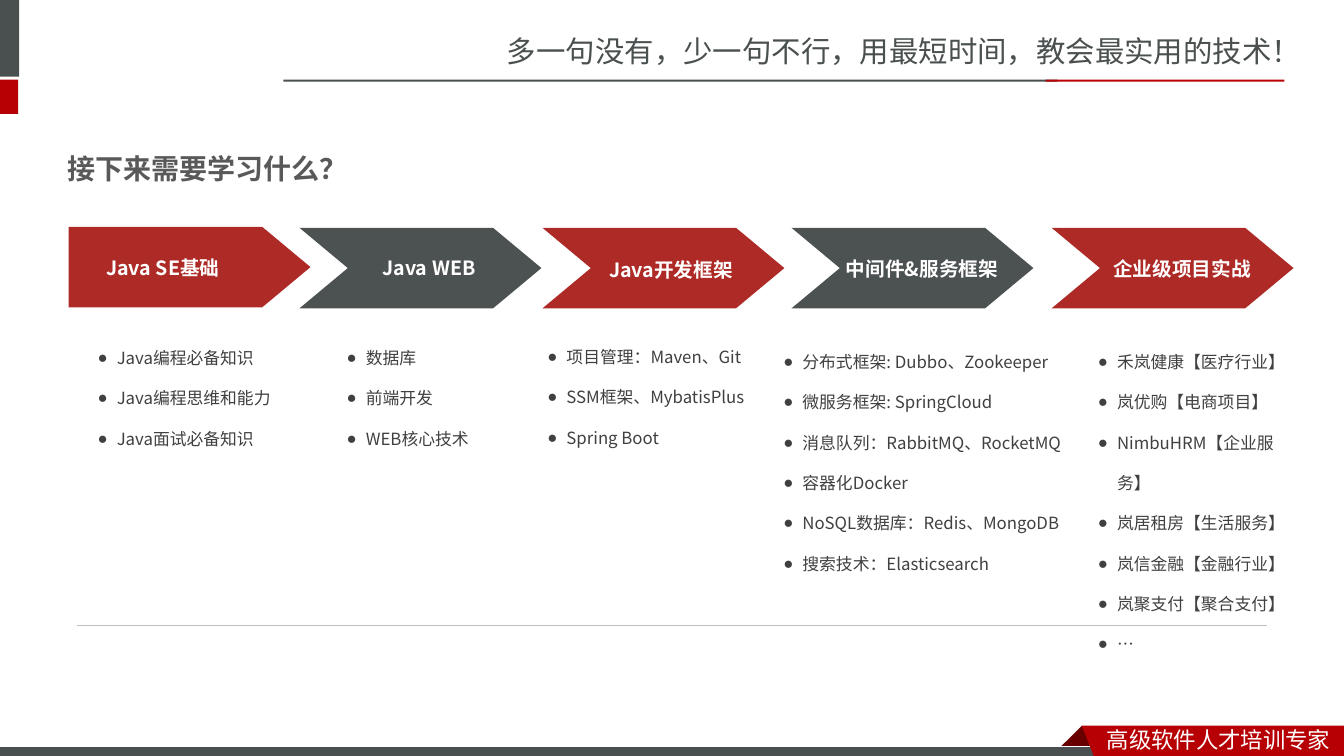
from lxml.etree import SubElement
from pptx import Presentation
from pptx.dml.color import RGBColor
from pptx.enum.shapes import MSO_CONNECTOR, MSO_SHAPE
from pptx.enum.text import MSO_ANCHOR, PP_ALIGN
from pptx.oxml.ns import qn
from pptx.util import Inches, Pt

GREY = RGBColor(0x49, 0x50, 0x4F)
RED = RGBColor(0xB6, 0x00, 0x04)
DARK_RED = RGBColor(0x68, 0x00, 0x00)
ARROW_RED = RGBColor(0xAD, 0x2A, 0x26)
ARROW_GREY = RGBColor(0x4C, 0x52, 0x52)
TITLE_GREY = RGBColor(0x59, 0x59, 0x59)
BODY_GREY = RGBColor(0x40, 0x40, 0x40)
RULE_GREY = RGBColor(0xBF, 0xBF, 0xBF)
WHITE = RGBColor(0xFF, 0xFF, 0xFF)
SC, JP = "Noto Sans CJK SC", "Noto Sans CJK JP"

# Content: arrow label, its box, arrow left and top, topics, their box
STAGES = [
    dict(label="Java SE基础", label_box=(0.57, 2.45, 2.09, 0.37), arrow=(0.68, 2.25),
         topics=["Java编程必备知识", "Java编程思维和能力", "Java面试必备知识"],
         topic_box=(0.87, 3.2, 2, 1.26)),
    dict(label="Java WEB", label_box=(3.24, 2.49, 2.03, 0.34), arrow=(2.97, 2.26),
         topics=["数据库", "前端开发", "WEB核心技术"],
         topic_box=(3.34, 3.2, 1.83, 1.26)),
    dict(label="Java开发框架", label_box=(5.65, 2.47, 2.01, 0.37), arrow=(5.38, 2.26),
         topics=["项目管理：Maven、Git", "SSM框架、MybatisPlus", "Spring Boot"],
         topic_box=(5.33, 3.19, 2.18, 1.26)),
    dict(label="中间件&服务框架", label_box=(8.13, 2.46, 2.03, 0.37), arrow=(7.85, 2.26),
         topics=["分布式框架: Dubbo、Zookeeper", "微服务框架: SpringCloud",
                 "消息队列：RabbitMQ、RocketMQ", "容器化Docker",
                 "NoSQL数据库：Redis、MongoDB", "搜索技术：Elasticsearch"],
         topic_box=(7.67, 3.24, 3.12, 2.47)),
    dict(label="企业级项目实战", label_box=(10.57, 2.46, 2.31, 0.37), arrow=(10.43, 2.26),
         topics=["禾岚健康【医疗行业】", "岚优购【电商项目】", "NimbuHRM【企业服务】",
                 "岚居租房【生活服务】", "岚信金融【金融行业】", "岚聚支付【聚合支付】", "…"],
         topic_box=(10.79, 3.24, 2.18, 3.28)),
]
BARS = [
    (-0.06, 0, 0.25, 0.76, GREY),
    (-0.06, 0.79, 0.24, 0.34, RED),
    (2.81, 0.79, 7.68, 0.02, GREY),
    (10.37, 0.79, 2.37, 0.02, RED),
]
FOOTER_BAR = (-0.01, 7.41, 11, 0.12, GREY)
RIBBON_FOLD = [(10.73, 7.2), (10.95, 7.42), (10.94, 7.43), (10.52, 7.43), (10.51, 7.42)]
RIBBON = [(10.73, 7.2), (13.33, 7.2), (13.33, 7.54), (10.86, 7.53)]
ARROW_WIDTH, ARROW_HEIGHT, ARROW_TIP = 2.4, 0.8, 0.48

# Text formats
TAGLINE = dict(size=Pt(21), name=SC, color=GREY)
FOOTER = dict(size=Pt(16), name=SC, color=WHITE)
TITLE = dict(size=Pt(20), name=JP, color=TITLE_GREY, bold=True)
LABEL = dict(size=Pt(14), name=JP, color=WHITE, bold=True)
TOPIC = dict(size=Pt(12), name=JP, color=BODY_GREY)

deck = Presentation()
deck.slide_width, deck.slide_height = Inches(13.33), Inches(7.5)
page = deck.slides.add_slide(deck.slide_layouts[6])


def paint(shape, color):
    shape.shadow.inherit = False
    shape.fill.solid()
    shape.fill.fore_color.rgb = color
    shape.line.fill.background()
    return shape


def add_bar(left, top, width, height, color):
    place = map(Inches, (left, top, width, height))
    return paint(page.shapes.add_shape(MSO_SHAPE.RECTANGLE, *place), color)


def add_outline(points, color):
    corners = [(Inches(x), Inches(y)) for x, y in points]
    builder = page.shapes.build_freeform(*corners[0])
    builder.add_line_segments(corners[1:], close=True)
    return paint(builder.convert_to_shape(), color)


def add_bullet(para):
    props = para._p.get_or_add_pPr()
    props.set("marL", str(Inches(0.19)))
    props.set("indent", str(-Inches(0.19)))
    SubElement(props, qn("a:buFont")).set("typeface", "Arial")
    SubElement(props, qn("a:buChar")).set("char", "●")


def add_text(lines, place, style, anchor=MSO_ANCHOR.TOP, wrap=True, bullets=False, **layout):
    frame = page.shapes.add_textbox(*map(Inches, place)).text_frame
    frame.word_wrap = wrap
    frame.vertical_anchor = anchor
    for index, line in enumerate(lines):
        para = frame.paragraphs[0] if index == 0 else frame.add_paragraph()
        if bullets:
            add_bullet(para)
        for key, value in layout.items():
            setattr(para, key, value)
        span = para.add_run()
        span.text = line
        for key, value in style.items():
            if key == "color":
                span.font.color.rgb = value
            else:
                setattr(span.font, key, value)
        # East Asian typeface
        SubElement(span._r.get_or_add_rPr(), qn("a:ea")).set("typeface", style["name"])


# Header
add_text(["多一句没有，少一句不行，用最短时间，教会最实用的技术！"], (4.93, 0.28, 8.41, 0.47), TAGLINE)
for bar in BARS:
    add_bar(*bar)

# Footer ribbon
add_outline(RIBBON_FOLD, DARK_RED)
footer_bar = add_bar(*FOOTER_BAR)
footer_bar.line.color.rgb = WHITE
footer_bar.line.width = Pt(0.75)
add_outline(RIBBON, RED)
add_text(["高级软件人才培训专家"], (10.88, 7.15, 2.45, 0.37), FOOTER, wrap=False)

# Title and thin rule
add_text(["接下来需要学习什么？"], (0.57, 1.38, 3.06, 0.57), TITLE, MSO_ANCHOR.MIDDLE)
rule = page.shapes.add_connector(
    MSO_CONNECTOR.STRAIGHT, Inches(0.76), Inches(6.2), Inches(12.57), Inches(6.2))
rule.line.color.rgb = RULE_GREY
rule.line.width = Pt(0.25)
SubElement(rule._element.spPr, qn("a:effectLst"))

# Stages: arrow, label and topics
for number, stage in enumerate(STAGES):
    left, top = stage["arrow"]
    right, bottom, middle = left + ARROW_WIDTH, top + ARROW_HEIGHT, top + ARROW_HEIGHT / 2
    outline = [(left, top), (right - ARROW_TIP, top), (right, middle),
               (right - ARROW_TIP, bottom), (left, bottom)]
    if number:
        outline.append((left + ARROW_TIP, middle))
    add_outline(outline, ARROW_GREY if number % 2 else ARROW_RED)
    add_text([stage["label"]], stage["label_box"], LABEL, MSO_ANCHOR.MIDDLE,
             alignment=PP_ALIGN.CENTER, line_spacing=1.0 if number == 1 else 1.2)
    add_text(stage["topics"], stage["topic_box"], TOPIC, bullets=True, line_spacing=2.0)

deck.save("out.pptx")
